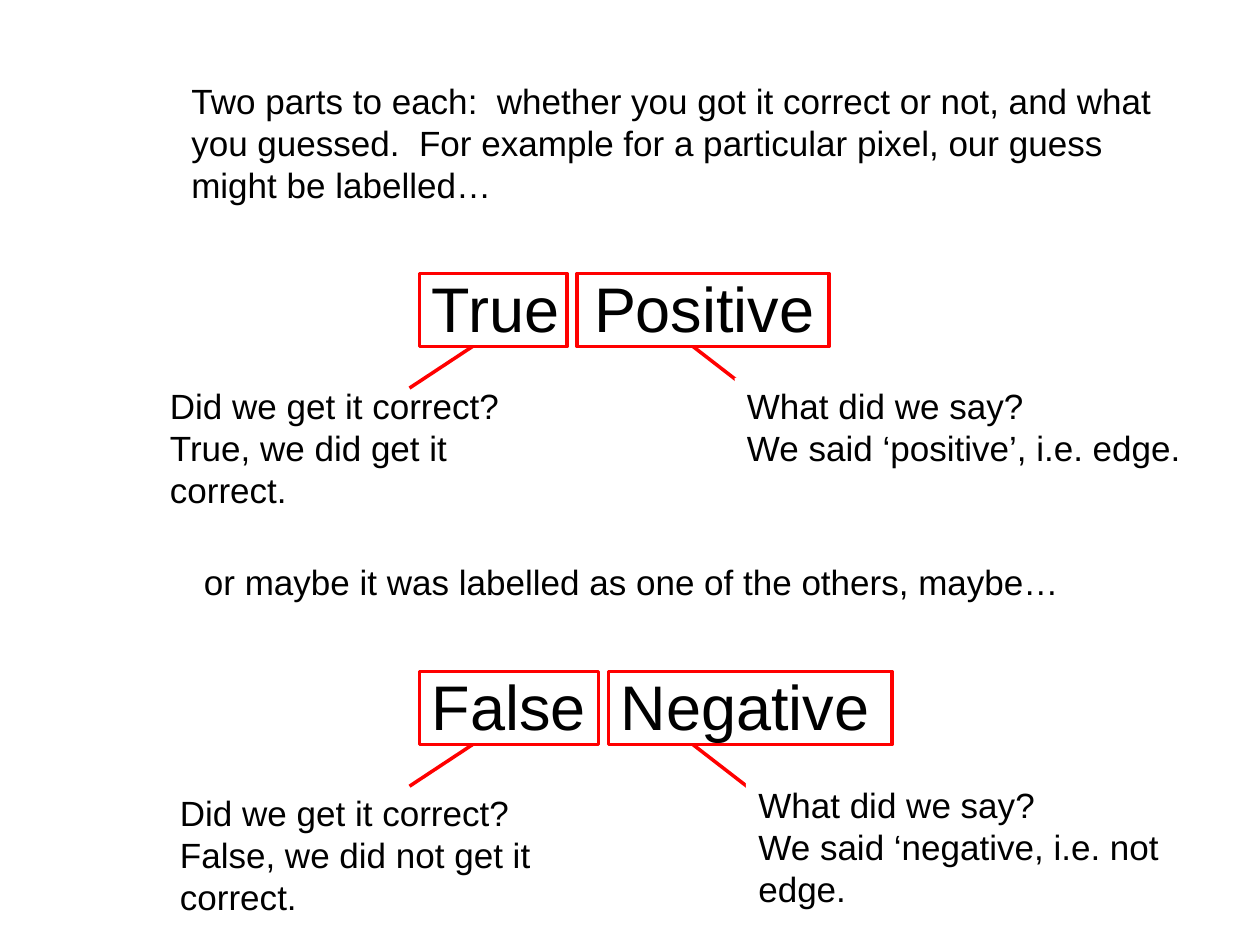
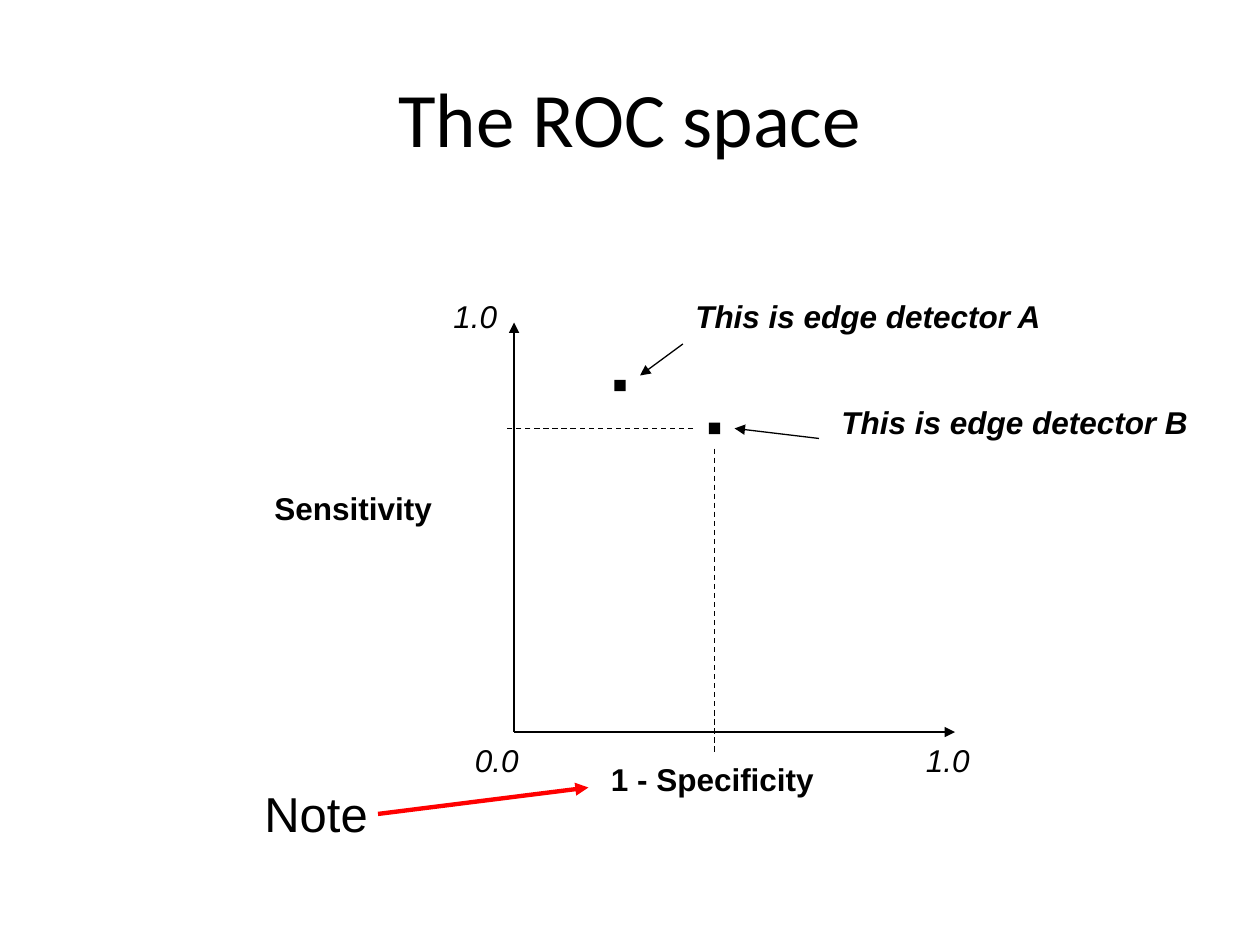
from dataclasses import dataclass

from lxml.etree import SubElement
from pptx import Presentation
from pptx.dml.color import RGBColor
from pptx.enum.dml import MSO_LINE
from pptx.enum.shapes import MSO_CONNECTOR, MSO_SHAPE
from pptx.enum.text import MSO_ANCHOR, PP_ALIGN
from pptx.oxml.ns import qn
from pptx.shapes.autoshape import Shape
from pptx.slide import Slide
from pptx.util import Inches, Pt


@dataclass(frozen=True)
class Theme:
    black: RGBColor = RGBColor(0, 0, 0)
    white: RGBColor = RGBColor(255, 255, 255)
    red: RGBColor = RGBColor(255, 0, 0)
    body: str = "Arial"
    head: str = "Calibri"
    title: int = 44
    term: int = 36
    note: int = 28
    text: int = 20
    label: int = 18
    thin: float = 0.75
    frame: float = 2
    thick: float = 2.5


THEME = Theme()


@dataclass(frozen=True)
class Label:
    """Text lines in a box given as left, top, width, height."""
    lines: tuple[str, ...]
    box: tuple[float, float, float, float]
    size: int = THEME.text
    font: str = THEME.body
    bold: bool = False
    slant: bool = False
    wrap: bool = True
    align: PP_ALIGN = PP_ALIGN.LEFT
    anchor: MSO_ANCHOR = MSO_ANCHOR.TOP
    fill: RGBColor | None = None


@dataclass(frozen=True)
class Stroke:
    start: tuple[float, float]
    end: tuple[float, float]
    color: RGBColor = THEME.black
    width: float = THEME.thin
    arrow: bool = False
    dash: bool = False


@dataclass(frozen=True)
class Verdict:
    """A two-word result, its framed words and the two answers below."""
    term: str
    top: float
    widths: tuple[float, float]
    answers: tuple[Label, Label]


def add_label(slide: Slide, label: Label) -> None:
    shape = slide.shapes.add_textbox(*map(Inches, label.box))
    if label.fill is not None:
        shape.fill.solid()
        shape.fill.fore_color.rgb = label.fill
    frame = shape.text_frame
    frame.word_wrap = label.wrap
    frame.vertical_anchor = label.anchor
    frame.text = "\n".join(label.lines)
    for para in frame.paragraphs:
        para.alignment = label.align
        font = para.font
        font.name, font.size = label.font, Pt(label.size)
        font.bold, font.italic = label.bold, label.slant
        font.color.rgb = THEME.black


def add_stroke(slide: Slide, stroke: Stroke) -> None:
    ends = map(Inches, stroke.start + stroke.end)
    shape = slide.shapes.add_connector(MSO_CONNECTOR.STRAIGHT, *ends)
    line = shape.line
    line.color.rgb = stroke.color
    line.width = Pt(stroke.width)
    if stroke.dash:
        line.dash_style = MSO_LINE.DASH
    props = shape.element.spPr
    if stroke.arrow:
        SubElement(props.find(qn("a:ln")), qn("a:tailEnd"), type="triangle")
    SubElement(props, qn("a:effectLst"))


def add_rect(slide: Slide, left: float, top: float, width: float, height: float) -> Shape:
    shape = slide.shapes.add_shape(
        MSO_SHAPE.RECTANGLE, *map(Inches, (left, top, width, height)))
    shape.shadow.inherit = False
    return shape


def add_frame(slide: Slide, left: float, top: float, width: float, height: float) -> None:
    shape = add_rect(slide, left, top, width, height)
    shape.fill.background()
    shape.line.color.rgb = THEME.red
    shape.line.width = Pt(THEME.frame)


def add_point(slide: Slide, x: float, y: float) -> None:
    side = 0.09
    shape = add_rect(slide, x - side / 2, y - side / 2, side, side)
    shape.fill.solid()
    shape.fill.fore_color.rgb = THEME.black
    shape.line.fill.background()


def add_verdict(slide: Slide, item: Verdict) -> None:
    left, height, gap = 3.33, 0.58, 0.08
    add_label(slide, Label((item.term,), (left, item.top - 0.08, 4.75, 0.7), THEME.term))
    for width in item.widths:
        add_frame(slide, left, item.top, width, height)
        left += width + gap
    base = item.top + height
    for x, run, drop in ((3.75, -0.5, 0.33), (5.5, 0.75, 0.58)):
        add_stroke(slide, Stroke((x, base), (x + run, base + drop), THEME.red, THEME.frame))
    for answer in item.answers:
        add_label(slide, answer)


ASK_RIGHT = "Did we get it correct?"
ASK_SAID = "What did we say?"

VERDICTS = (
    Verdict("True  Positive", 2.17, (1.17, 2), (
        Label((ASK_RIGHT, "True, we did get it correct."), (1.25, 3, 3.25, 1.1)),
        Label((ASK_SAID, "We said ‘positive’, i.e. edge."),
              (5.83, 3, 4, 0.77), fill=THEME.white))),
    Verdict("False  Negative", 5.33, (1.42, 2.25), (
        Label((ASK_RIGHT, "False, we did not get it correct."), (1.33, 6.23, 3.83, 1.1)),
        Label((ASK_SAID, "We said ‘negative, i.e. not edge."),
              (5.92, 6.17, 4.08, 1.1), fill=THEME.white))),
)

PROSE = (
    Label(("Two parts to each:  whether you got it correct or not, and what you guessed.  "
           "For example for a particular pixel, our guess might be labelled…",),
          (1.42, 0.58, 8.17, 1.1)),
    Label(("or maybe it was labelled as one of the others, maybe…",),
          (1.52, 4.4, 6.99, 0.44), wrap=False),
)


def build_terms(slide: Slide) -> None:
    for label in PROSE:
        add_label(slide, label)
    for item in VERDICTS:
        add_verdict(slide, item)


def build_space(slide: Slide) -> None:
    """Draw the ROC axes with the two detectors as points."""
    zero = x0, y0 = 4.08, 5.81
    spot_a, spot_b = (4.92, 3.06), (5.67, 3.4)
    bx, by = spot_b

    add_label(slide, Label(("The ROC space",), (0.5, 0.3, 9, 1.25), THEME.title, THEME.head,
                           align=PP_ALIGN.CENTER, anchor=MSO_ANCHOR.MIDDLE))
    for stroke in (
        Stroke(zero, (x0, 2.56), arrow=True),
        Stroke(zero, (7.58, y0), arrow=True),
        Stroke((6.5, 3.48), (5.83, by), arrow=True),
        Stroke((5.42, 2.73), (5.08, 2.98), arrow=True),
        Stroke((bx, 3.56), (bx, 5.98), dash=True),
        Stroke((5.5, by), (4, by), dash=True),
        Stroke((3, 6.46), (4.67, 6.25), THEME.red, THEME.thick, arrow=True),
    ):
        add_stroke(slide, stroke)
    for spot in (spot_a, spot_b):
        add_point(slide, *spot)

    for text, left, top, width, slant in (
        ("1 - Specificity", 4.75, 5.98, 2.67, False),
        ("Sensitivity", 2.08, 3.83, 1.92, False),
        ("This is edge detector A", 5.42, 2.31, 3.08, True),
        ("This is edge detector B", 6.58, 3.15, 3.08, True),
    ):
        add_label(slide, Label((text,), (left, top, width, 0.4), THEME.label,
                               bold=True, slant=slant))
    for text, left, top in (("1.0", 3.5, 2.31), ("0.0", 3.67, 5.83), ("1.0", 7.25, 5.83)):
        add_label(slide, Label((text,), (left, top, 0.55, 0.4), THEME.label,
                               slant=True, wrap=False))
    add_label(slide, Label(("Note",), (2, 6.17, 1.58, 0.57), THEME.note))


def main() -> None:
    deck = Presentation()
    deck.slide_width, deck.slide_height = Inches(10), Inches(7.5)
    blank = deck.slide_layouts[6]
    for build in (build_terms, build_space):
        build(deck.slides.add_slide(blank))
    deck.save("out.pptx")


if __name__ == "__main__":
    main()
